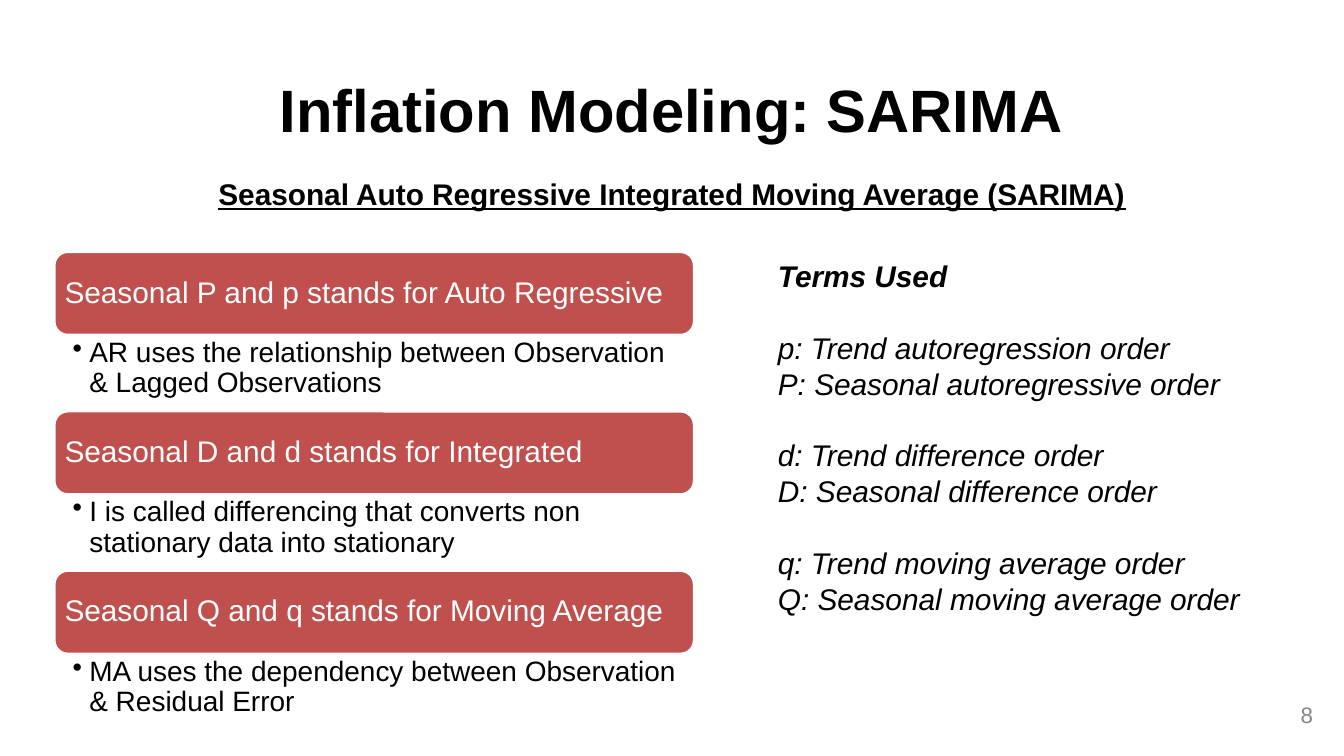
from lxml.etree import SubElement
from pptx import Presentation
from pptx.dml.color import RGBColor
from pptx.enum.shapes import MSO_SHAPE
from pptx.enum.text import MSO_ANCHOR, MSO_AUTO_SIZE, PP_ALIGN
from pptx.oxml.ns import qn
from pptx.util import Pt

BLACK = RGBColor(0, 0, 0)
WHITE = RGBColor(255, 255, 255)
GRAY = RGBColor(0x88, 0x88, 0x88)
RED = RGBColor(0xBF, 0x50, 0x4D)

TITLE = "Inflation Modeling: SARIMA"
SUBTITLE = "Seasonal Auto Regressive Integrated Moving Average (SARIMA)"
PAGE_NUMBER = "8"
COMPONENTS = [
    ("Seasonal P and p stands for Auto Regressive",
     "AR uses the relationship between Observation & Lagged Observations"),
    ("Seasonal D and d stands for Integrated",
     "I is called differencing that converts non stationary data into stationary"),
    ("Seasonal Q and q stands for Moving Average",
     "MA uses the dependency between Observation & Residual Error\u00a0".rstrip()),
]
TERMS_HEADING = "Terms Used"
TERMS = [
    ("p: Trend autoregression order", "P: Seasonal autoregressive order"),
    ("d: Trend difference order", "D: Seasonal difference order"),
    ("q: Trend moving average order", "Q: Seasonal moving average order"),
]

LEFT, TOP, WIDTH = 28.8, 134.6, 343.4
BAR_HEIGHT, NOTE_HEIGHT = 45.2, 40.2
TERM_GAP = 19.2


def place(shape, left, top, width, height):
    shape.left, shape.top = Pt(left), Pt(top)
    shape.width, shape.height = Pt(width), Pt(height)


def set_frame(frame, insets=(7.2, 3.6, 7.2, 3.6), anchor=MSO_ANCHOR.TOP):
    frame.word_wrap = True
    frame.auto_size = MSO_AUTO_SIZE.NONE
    frame.vertical_anchor = anchor
    (frame.margin_left, frame.margin_top,
     frame.margin_right, frame.margin_bottom) = map(Pt, insets)


def write(para, text, size, color=BLACK, align=PP_ALIGN.LEFT,
          bold=False, italic=False, underline=False):
    para.text = text
    para.alignment = align
    for span in para.runs:
        font = span.font
        font.name, font.size, font.color.rgb = "Arial", Pt(size), color
        font.bold, font.italic, font.underline = bold, italic, underline


def add_box(page, *bounds):
    return page.shapes.add_textbox(*map(Pt, bounds))


def add_bullet(para):
    properties = para._p.get_or_add_pPr()
    properties.set("marL", str(Pt(9)))
    properties.set("indent", str(-Pt(9)))
    SubElement(properties, qn("a:buChar"), char="•")


def add_component(page, top, heading, note):
    bar = page.shapes.add_shape(MSO_SHAPE.ROUNDED_RECTANGLE, Pt(LEFT), Pt(top),
                                Pt(WIDTH), Pt(BAR_HEIGHT))
    bar.shadow.inherit = False
    bar.fill.solid()
    bar.fill.fore_color.rgb = RED
    bar.line.color.rgb = WHITE
    bar.line.width = Pt(2)
    set_frame(bar.text_frame, (3.6, 3.6, 3.6, 3.6), MSO_ANCHOR.MIDDLE)
    para = bar.text_frame.paragraphs[0]
    write(para, heading, 16, WHITE)
    para.line_spacing = 0.9

    box = add_box(page, LEFT, top + BAR_HEIGHT, WIDTH, NOTE_HEIGHT)
    set_frame(box.text_frame, (10.1, 1.4, 6.5, 1.4))
    para = box.text_frame.paragraphs[0]
    write(para, note, 15)
    para.line_spacing = 0.9
    add_bullet(para)


def add_terms(page):
    box = add_box(page, 409.7, TOP, 285.8, 200.9)
    frame = box.text_frame
    set_frame(frame)
    write(frame.paragraphs[0], TERMS_HEADING, 16, align=PP_ALIGN.JUSTIFY,
          bold=True, italic=True)
    for pair in TERMS:
        for index, term in enumerate(pair):
            para = frame.add_paragraph()
            write(para, term, 16, align=PP_ALIGN.JUSTIFY, italic=True)
            para.space_before = Pt(0 if index else TERM_GAP)


def main():
    deck = Presentation()
    deck.slide_width, deck.slide_height = Pt(720), Pt(405)
    page = deck.slides.add_slide(deck.slide_layouts[5])

    title = page.shapes.title
    place(title, 24.5, 35.3, 671, 45.4)
    set_frame(title.text_frame, anchor=MSO_ANCHOR.MIDDLE)
    write(title.text_frame.paragraphs[0], TITLE, 32, align=PP_ALIGN.CENTER, bold=True)

    subtitle = add_box(page, 100, 90.7, 520, 26.6)
    set_frame(subtitle.text_frame)
    write(subtitle.text_frame.paragraphs[0], SUBTITLE, 16, align=PP_ALIGN.CENTER,
          bold=True, underline=True)

    for row, (heading, note) in enumerate(COMPONENTS):
        add_component(page, TOP + row * (BAR_HEIGHT + NOTE_HEIGHT), heading, note)
    add_terms(page)

    number = add_box(page, 667.4, 367.2, 43.2, 31)
    set_frame(number.text_frame, anchor=MSO_ANCHOR.MIDDLE)
    write(number.text_frame.paragraphs[0], PAGE_NUMBER, 12, GRAY, PP_ALIGN.RIGHT)

    deck.save("out.pptx")


if __name__ == "__main__":
    main()
